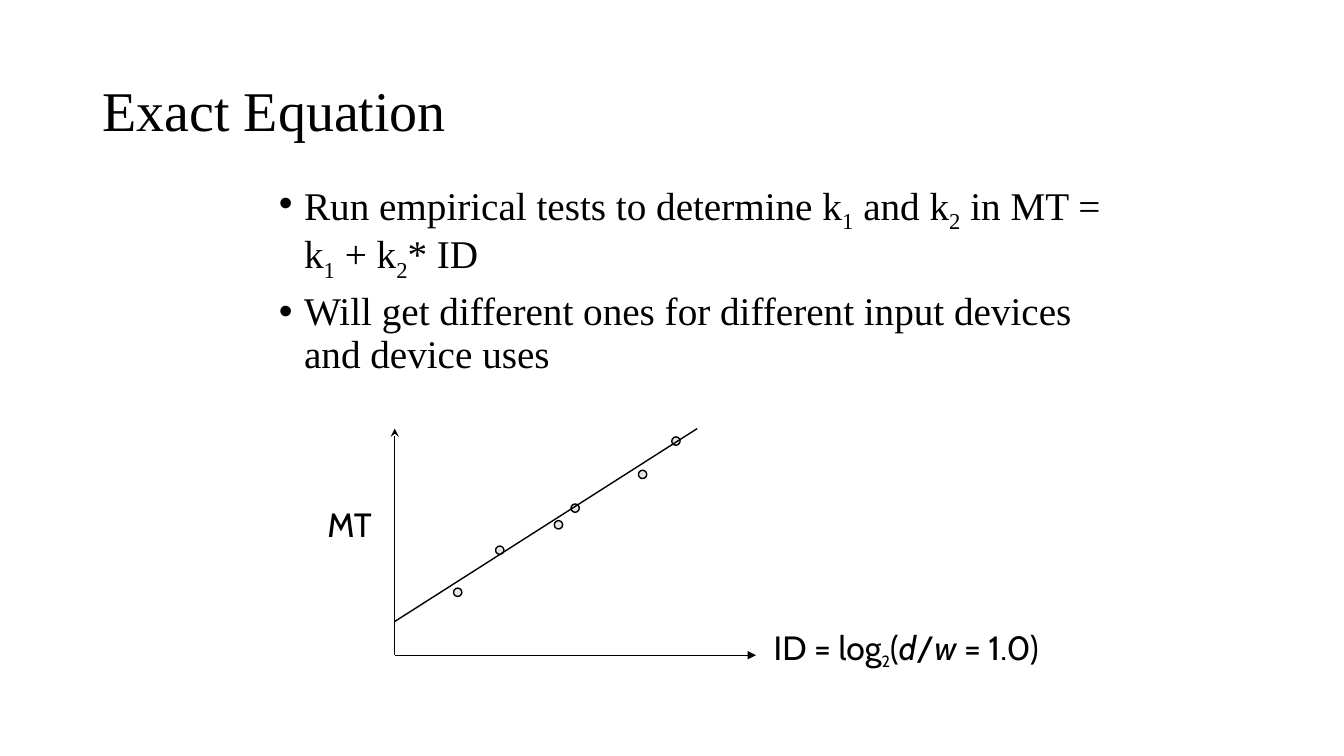
from dataclasses import dataclass

from lxml.etree import SubElement
from pptx import Presentation
from pptx.dml.color import RGBColor
from pptx.enum.shapes import MSO_CONNECTOR, MSO_SHAPE
from pptx.enum.text import MSO_ANCHOR, MSO_AUTO_SIZE
from pptx.oxml.ns import qn
from pptx.util import Cm, Pt


@dataclass(frozen=True)
class Theme:
    ink: RGBColor = RGBColor(0x00, 0x00, 0x00)
    dot_fill: RGBColor = RGBColor(0xE7, 0xE6, 0xE6)
    serif: str = "Times New Roman"
    sans: str = "Cabin"
    title_size: int = 40
    body_size: int = 28
    label_size: int = 24
    label_sub_size: int = 20
    stroke: int = 1


def write(paragraph, text, *, font, size, color, italic=False, subscript=False):
    run = paragraph.add_run()
    run.text = text
    run.font.name = font
    run.font.size = Pt(size)
    run.font.color.rgb = color
    run.font.italic = italic
    if subscript:
        run.font._element.set("baseline", "-25000")


class EquationSlide:
    """Draws styled elements on the current slide."""

    def __init__(self, slide, theme):
        self.slide = slide
        self.theme = theme

    def frame(self, left, top, width, height, wrap=True):
        box = self.slide.shapes.add_textbox(Cm(left), Cm(top), Cm(width), Cm(height))
        box.text_frame.word_wrap = wrap
        return box.text_frame

    def title(self, text, *place):
        frame = self.frame(*place)
        frame.vertical_anchor = MSO_ANCHOR.MIDDLE
        heading = frame.paragraphs[0]
        heading.line_spacing = 0.9
        write(heading, text, font=self.theme.serif, size=self.theme.title_size,
              color=self.theme.ink)

    def bullets(self, points, *place):
        frame = self.frame(*place)
        for index, pieces in enumerate(points):
            point = frame.add_paragraph() if index else frame.paragraphs[0]
            point.line_spacing = 0.9
            point.space_before = Pt(10)
            properties = point._p.get_or_add_pPr()
            indent = Cm(0.635)
            properties.set("marL", str(indent))
            properties.set("indent", str(-indent))
            SubElement(properties, qn("a:buFont")).set("typeface", "Arial")
            SubElement(properties, qn("a:buChar")).set("char", "•")
            for text, style in pieces:
                write(point, text, font=self.theme.serif, size=self.theme.body_size,
                      color=self.theme.ink, subscript=style == "sub")

    def label(self, pieces, *place):
        frame = self.frame(*place, wrap=False)
        frame.auto_size = MSO_AUTO_SIZE.SHAPE_TO_FIT_TEXT
        for text, style in pieces:
            lowered = style == "sub"
            size = self.theme.label_sub_size if lowered else self.theme.label_size
            write(frame.paragraphs[0], text, font=self.theme.sans, size=size,
                  color=self.theme.ink, italic=style == "italic", subscript=lowered)

    def line(self, start, end, arrow_end=None, arrow_type=None):
        stroke = self.slide.shapes.add_connector(
            MSO_CONNECTOR.STRAIGHT, *map(Cm, start + end))
        stroke.line.color.rgb = self.theme.ink
        stroke.line.width = Pt(self.theme.stroke)
        if arrow_end:
            outline = stroke.line._get_or_add_ln()
            SubElement(outline, qn(arrow_end)).set("type", arrow_type)
        SubElement(stroke._element.spPr, qn("a:effectLst"))

    def dot(self, left, top, diameter=0.21):
        mark = self.slide.shapes.add_shape(
            MSO_SHAPE.OVAL, Cm(left), Cm(top), Cm(diameter), Cm(diameter))
        mark.shadow.inherit = False
        mark.fill.solid()
        mark.fill.fore_color.rgb = self.theme.dot_fill
        mark.line.color.rgb = self.theme.ink
        mark.line.width = Pt(self.theme.stroke)


def main():
    deck = Presentation()
    deck.slide_width, deck.slide_height = Cm(33.87), Cm(19.05)
    page = EquationSlide(deck.slides.add_slide(deck.slide_layouts[6]), Theme())

    page.title("Exact Equation", 2.34, 1.02, 29.21, 3.68)
    page.bullets([
        [("Run empirical tests to determine k", ""), ("1", "sub"), (" and k", ""),
         ("2", "sub"), (" in MT = k", ""), ("1", "sub"), (" + k", ""),
         ("2", "sub"), ("* ID", "")],
        [("Will get different ones for different input devices and device uses", "")],
    ], 6.78, 4.45, 21.29, 11.86)

    origin = (9.95, 16.51)
    chart_top = 10.8
    page.line((origin[0], chart_top), origin, "a:headEnd", "stealth")
    page.line(origin, (19.05, origin[1]), "a:tailEnd", "triangle")
    page.label([("MT", "")], 8, 12.57, 1.65, 1.27)
    page.label([("ID = log", ""), ("2", "sub"), ("(", ""), ("d", "italic"),
                ("/", ""), ("w", "italic"), (" = 1.0)", "")],
               19.25, 15.67, 8.41, 1.27)

    measurements = [(11.43, 14.82), (12.49, 13.76), (14.39, 12.7),
                    (16.09, 11.85), (13.97, 13.12), (16.93, 11.01)]
    for left, top in measurements:
        page.dot(left, top)
    page.line((17.57, chart_top), (origin[0], 15.66))

    deck.save("out.pptx")


if __name__ == "__main__":
    main()
